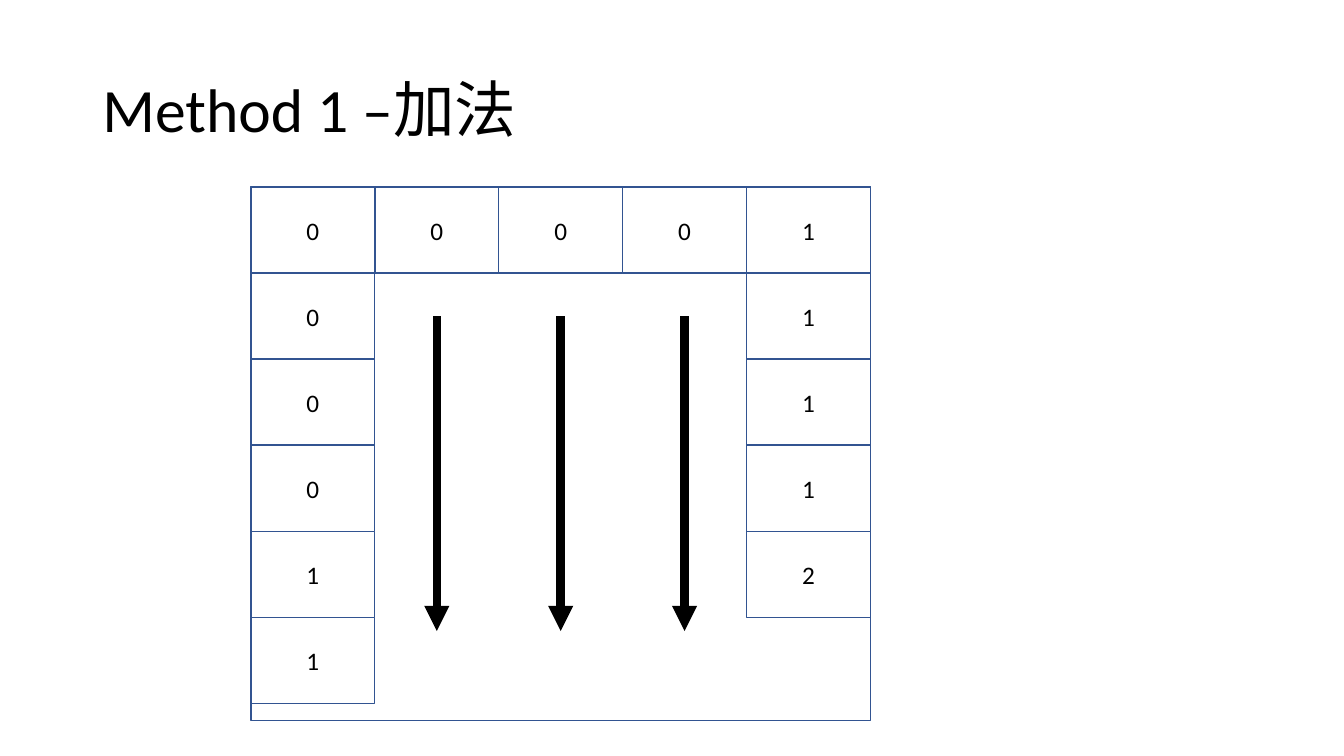
from lxml.etree import SubElement
from pptx import Presentation
from pptx.dml.color import RGBColor
from pptx.enum.shapes import MSO_CONNECTOR, MSO_SHAPE
from pptx.enum.text import MSO_ANCHOR, PP_ALIGN
from pptx.oxml.ns import qn
from pptx.util import Pt

PX = 9525  # EMU per px, 96 px to the inch
COLOURS = {"ink": "000000", "paper": "FFFFFF", "border": "325491"}
FONT = "Calibri"

# Grid of the addition table
LEFT, TOP = 239, 178
CELL_W, CELL_H = 118, 82
TOP_ROW = ["0", "0", "0", "0", "1"]
FIRST_COLUMN = ["0", "0", "0", "1", "1"]
LAST_COLUMN = ["1", "1", "1", "2"]


class SlideBuilder:
    def __init__(self, slide):
        self.slide = slide

    def colour(self, name):
        return RGBColor.from_string(COLOURS[name])

    def set_text(self, frame, text, size, align):
        frame.text = text
        frame.word_wrap = True
        frame.vertical_anchor = MSO_ANCHOR.MIDDLE
        paragraph = frame.paragraphs[0]
        paragraph.alignment = align
        paragraph.font.name = FONT
        paragraph.font.size = Pt(size)
        paragraph.font.color.rgb = self.colour("ink")
        return paragraph

    def title(self, text, left, top, width, height):
        heading = self.slide.shapes.title
        heading.left, heading.top = left * PX, top * PX
        heading.width, heading.height = width * PX, height * PX
        self.set_text(heading.text_frame, text, 44, PP_ALIGN.LEFT).line_spacing = 0.9

    def box(self, left, top, width, height, text=""):
        box = self.slide.shapes.add_shape(
            MSO_SHAPE.RECTANGLE, left * PX, top * PX, width * PX, height * PX)
        box.shadow.inherit = False
        box.fill.solid()
        box.fill.fore_color.rgb = self.colour("paper")
        box.line.color.rgb = self.colour("border")
        box.line.width = Pt(1)
        if text:
            self.set_text(box.text_frame, text, 18, PP_ALIGN.CENTER)

    def cell(self, column, row, text):
        self.box(LEFT + column * CELL_W, TOP + row * CELL_H, CELL_W, CELL_H, text)

    def down_arrow(self, x, top, bottom):
        arrow = self.slide.shapes.add_connector(
            MSO_CONNECTOR.STRAIGHT, x * PX, top * PX, x * PX, bottom * PX)
        arrow.line.color.rgb = self.colour("ink")
        arrow.line.width = Pt(6)
        properties = arrow._element.spPr
        SubElement(properties.find(qn("a:ln")), qn("a:tailEnd"), type="triangle")
        SubElement(properties, qn("a:effectLst"))


def main():
    prs = Presentation()
    prs.slide_width, prs.slide_height = 1280 * PX, 720 * PX
    builder = SlideBuilder(prs.slides.add_slide(prs.slide_layouts[5]))

    # Title and outer frame
    builder.title("Method 1 –加法", 88, 38, 1104, 139)
    builder.box(LEFT, TOP, len(TOP_ROW) * CELL_W, 508)

    # Cells along the top and both sides
    for column, digit in enumerate(TOP_ROW):
        builder.cell(column, 0, digit)
    for column, digits in ((0, FIRST_COLUMN), (len(TOP_ROW) - 1, LAST_COLUMN)):
        for row, digit in enumerate(digits, start=1):
            builder.cell(column, row, digit)

    # Arrows down the inner columns
    for column in range(1, len(TOP_ROW) - 1):
        center = LEFT + column * CELL_W + CELL_W // 2
        builder.down_arrow(center, 301, 601)

    prs.save("out.pptx")


if __name__ == "__main__":
    main()
